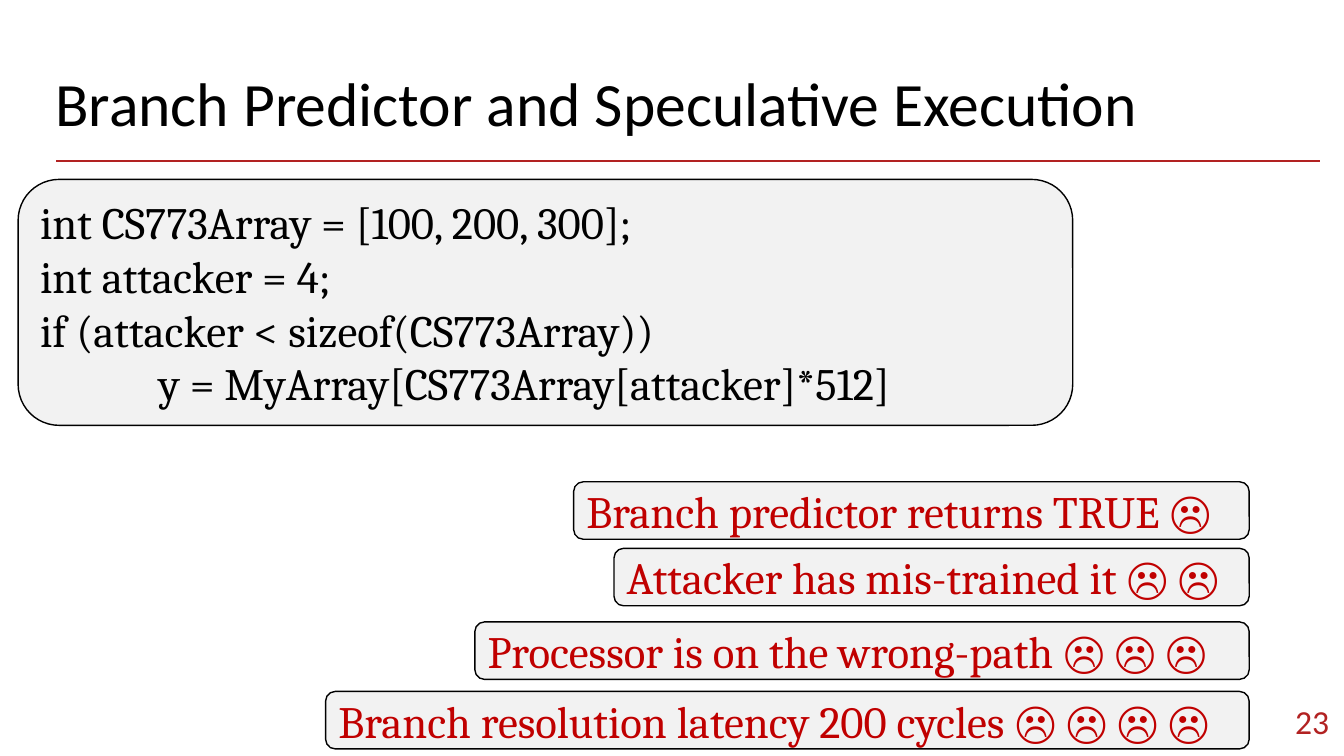
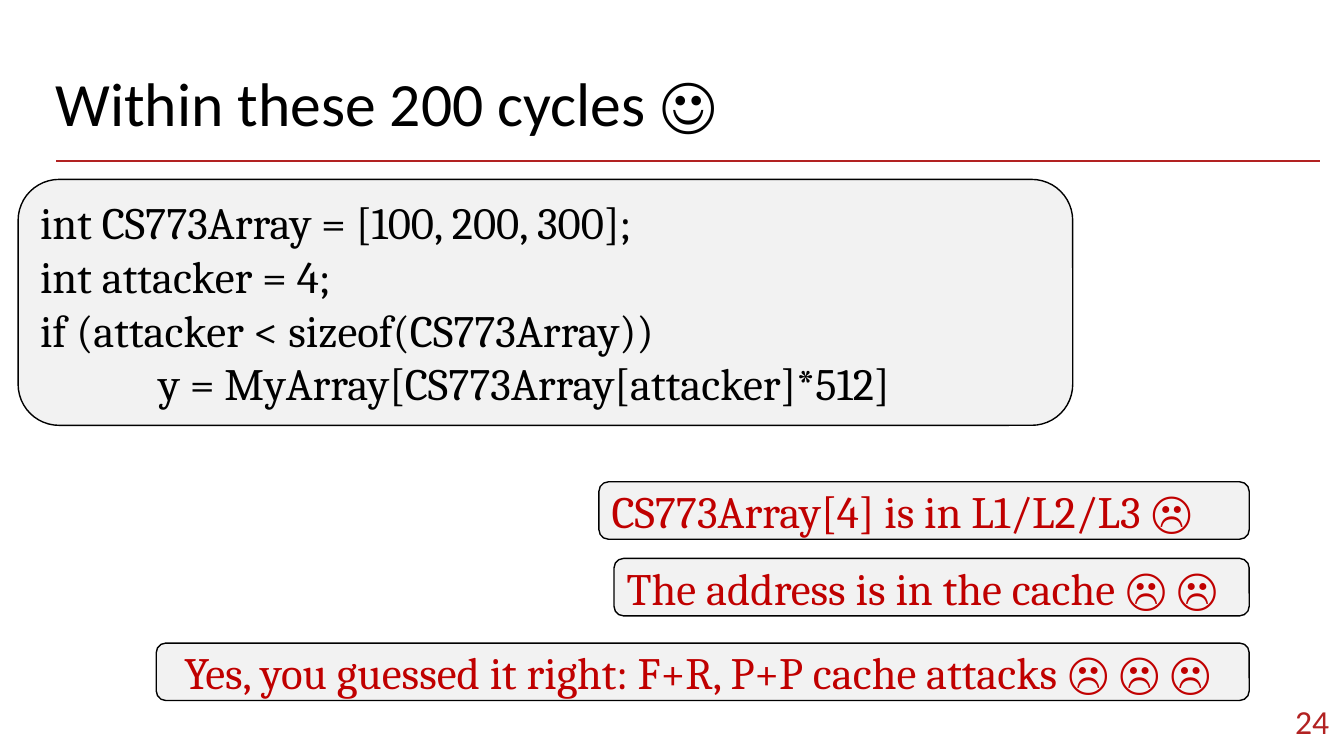
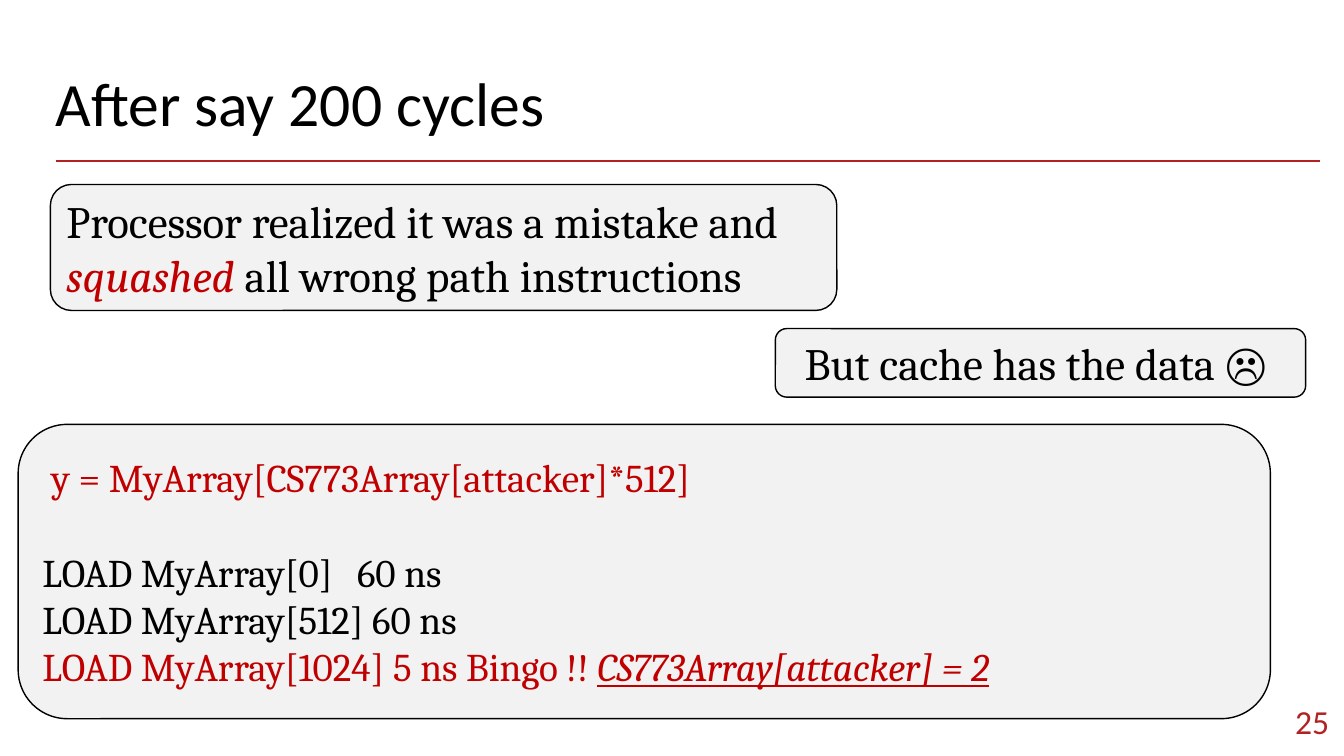
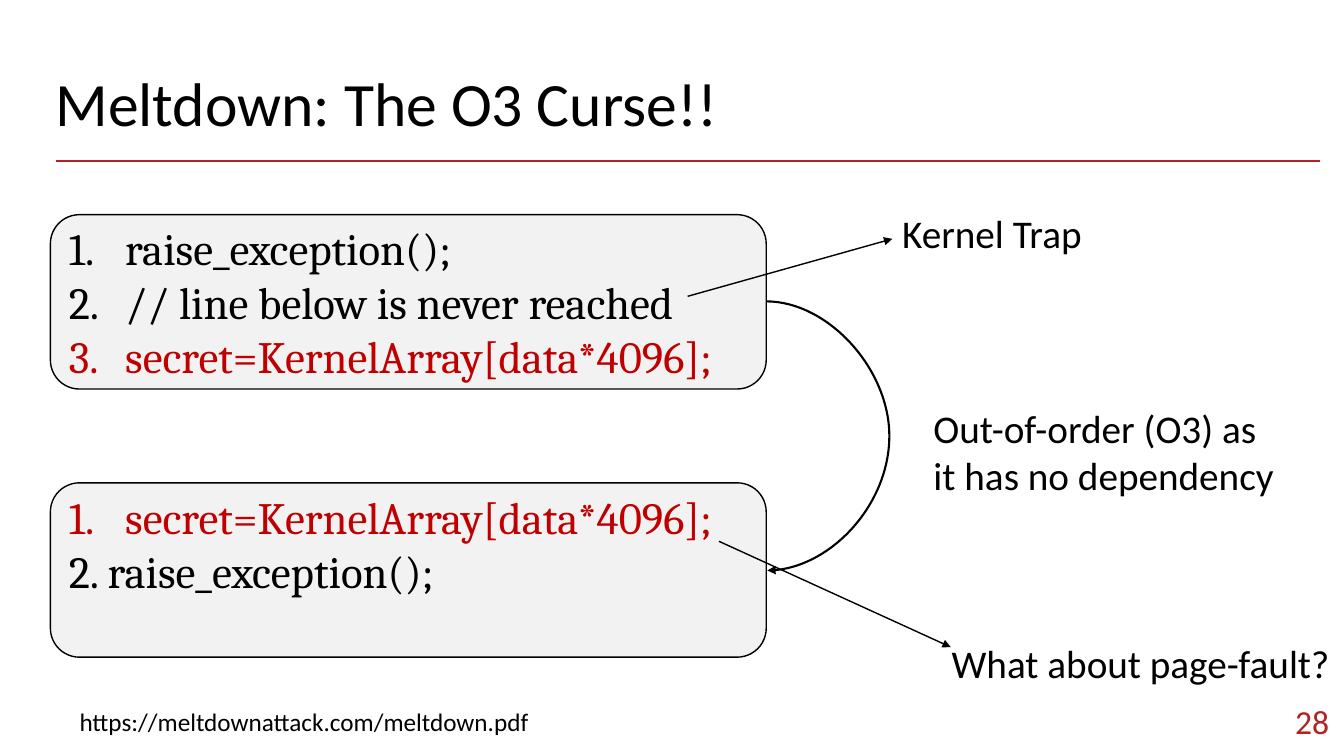
from dataclasses import dataclass, field
from typing import NamedTuple

from lxml import etree
from pptx import Presentation, util as u
from pptx.dml.color import RGBColor
from pptx.enum import shapes, text
from pptx.oxml import ns

PX = 9144  # EMU in one px, 100 px to the inch
INK = RGBColor(0x00, 0x00, 0x00)
RED = RGBColor(0xC0, 0x00, 0x00)
BRICK = RGBColor(0xB2, 0x22, 0x22)
PALE = RGBColor(0xF2, 0xF2, 0xF2)
SANS, SERIF = "Calibri", "Cambria"
LEFT, MID, RIGHT = text.PP_ALIGN.LEFT, text.PP_ALIGN.CENTER, text.PP_ALIGN.RIGHT
STRAIGHT, CURVE = shapes.MSO_CONNECTOR.STRAIGHT, shapes.MSO_CONNECTOR.CURVE
NOTE_END = 1239  # shared right edge of the notes
HANG = 56


class Area(NamedTuple):
    left: int
    top: int
    width: int
    height: int


class Run(NamedTuple):
    text: str
    color: RGBColor = INK
    slant: bool = False
    under: bool = False


@dataclass
class Para:
    runs: list[Run]
    align: text.PP_ALIGN = LEFT
    gap: int = 0
    tab: int = 0
    number: bool = False


@dataclass
class Box:
    area: Area
    paras: list[Para]
    size: int = 32
    foot: int = 5


@dataclass
class Label:
    area: Area
    lines: list[str]
    size: int = 28
    wrap: bool = False


class Note(NamedTuple):
    left: int
    top: int
    text: str
    align: text.PP_ALIGN = LEFT


@dataclass
class Arrow:
    start: tuple[int, int]
    end: tuple[int, int]
    width: float = 1
    bulge: int = 0


@dataclass
class Page:
    title: str
    number: int
    boxes: list[Box] = field(default_factory=list)
    notes: list[Note] = field(default_factory=list)
    labels: list[Label] = field(default_factory=list)
    arrows: list[Arrow] = field(default_factory=list)


def line(words: str, color: RGBColor = INK, **style) -> Para:
    return Para([Run(words, color)], **style)


def emu(*px: int) -> list[int]:
    return [n * PX for n in px]


def sub(node, tag: str, **attrs: str):
    return etree.SubElement(node, ns.qn(tag), **attrs)


def pad(frame, px: int) -> None:
    frame.margin_left = frame.margin_right = px * PX
    frame.margin_top = frame.margin_bottom = px * PX


def write(frame, paras: list[Para], size: int, font: str) -> None:
    for i, para in enumerate(paras):
        p = frame.add_paragraph() if i else frame.paragraphs[0]
        p.alignment = para.align
        if para.gap:
            p.space_before = u.Pt(para.gap)
        props = p._p.get_or_add_pPr()
        if para.number:
            props.set("marL", str(HANG * PX))
            props.set("indent", str(-HANG * PX))
            sub(props, "a:buFont", typeface="+mj-lt")
            sub(props, "a:buAutoNum", type="arabicPeriod")
        if para.tab:
            stops = sub(props, "a:tabLst")
            sub(stops, "a:tab", pos=str(para.tab * PX), algn="l")
        for run in para.runs:
            r = p.add_run()
            r.text = run.text
            r.font.name, r.font.size = font, u.Pt(size)
            r.font.color.rgb = run.color
            if run.slant:
                r.font.italic = True
            if run.under:
                r.font.underline = True


def draw_box(slide, box: Box) -> None:
    shape = slide.shapes.add_shape(
        shapes.MSO_SHAPE.ROUNDED_RECTANGLE, *emu(*box.area))
    shape.shadow.inherit = False
    shape.fill.solid()
    shape.fill.fore_color.rgb = PALE
    shape.line.color.rgb = INK
    shape.line.width = u.Pt(1)
    frame = shape.text_frame
    frame.word_wrap = True
    frame.vertical_anchor = text.MSO_ANCHOR.MIDDLE
    frame.margin_bottom = box.foot * PX
    write(frame, box.paras, box.size, SERIF)


def draw_note(slide, note: Note) -> None:
    area = Area(note.left, note.top, NOTE_END - note.left, 57)
    draw_box(slide, Box(area, [line(note.text, RED, align=note.align)]))


def draw_label(slide, label: Label) -> None:
    frame = slide.shapes.add_textbox(*emu(*label.area)).text_frame
    frame.word_wrap = label.wrap
    frame.auto_size = text.MSO_AUTO_SIZE.SHAPE_TO_FIT_TEXT
    write(frame, [line(words) for words in label.lines], label.size, SANS)


def draw_line(slide, kind, start, end, color: RGBColor, width: float):
    link = slide.shapes.add_connector(kind, *emu(*start, *end))
    link.line.color.rgb = color
    link.line.width = u.Pt(width)
    sub(link.element.spPr, "a:effectLst")
    return link


def draw_arrow(slide, arrow: Arrow) -> None:
    kind = CURVE if arrow.bulge else STRAIGHT
    link = draw_line(slide, kind, arrow.start, arrow.end, INK, arrow.width)
    sub(link.line._get_or_add_ln(), "a:tailEnd", type="triangle")
    if arrow.bulge:
        share = arrow.bulge * 100000 // (arrow.end[0] - arrow.start[0])
        geom = link.element.spPr.find(ns.qn("a:prstGeom"))
        guides = geom.find(ns.qn("a:avLst"))
        if guides is None:
            guides = sub(geom, "a:avLst")
        sub(guides, "a:gd", name="adj1", fmla=f"val {share}")


def set_layout(deck):
    """Place the title and the rule that all slides share."""
    layout = deck.slide_layouts[5]
    title = layout.placeholders[0]
    title.left, title.top, title.width, title.height = emu(45, 64, 1242, 84)
    return layout


def add_rule(slide, layout) -> None:
    rule = draw_line(slide, STRAIGHT, (56, 160), (1309, 160), BRICK, 1.5)
    layout.element.cSld.spTree.append(rule.element)


def draw_page(slide, page: Page) -> None:
    frame = slide.shapes.title.text_frame
    frame.auto_size = text.MSO_AUTO_SIZE.NONE
    pad(frame, 10)
    write(frame, [line(page.title)], 44, SANS)
    frame.paragraphs[0].line_spacing = 0.9

    frame = slide.shapes.add_textbox(*emu(1227, 687, 101, 57)).text_frame
    frame.word_wrap = True
    frame.vertical_anchor = text.MSO_ANCHOR.MIDDLE
    pad(frame, 10)
    write(frame, [line(str(page.number), BRICK, align=RIGHT)], 24, SANS)

    for note in page.notes:
        draw_note(slide, note)
    for box in page.boxes:
        draw_box(slide, box)
    for arrow in page.arrows:
        draw_arrow(slide, arrow)
    for label in page.labels:
        draw_label(slide, label)


ACCESS = " y = MyArray[CS773Array[attacker]*512]"
CODE = Box(Area(18, 178, 1046, 244), [
    line("int CS773Array = [100, 200, 300];"),
    line("int attacker = 4;"),
    line("if (attacker < sizeof(CS773Array))"),
    line("            y = MyArray[CS773Array[attacker]*512]"),
])
RAISE = "raise_exception();"
SECRET = line("secret=KernelArray[data*4096];", RED, number=True)

PAGES = [
    Page("Branch Predictor and Speculative Execution", 23, [CODE], [
        Note(569, 478, "Branch predictor returns TRUE ☹"),
        Note(609, 544, "Attacker has mis-trained it ☹ ☹"),
        Note(471, 617, "Processor is on the wrong-path ☹ ☹ ☹"),
        Note(323, 686, "Branch resolution latency 200 cycles ☹ ☹ ☹ ☹"),
    ]),
    Page("Within these 200 cycles ☺", 24, [CODE], [
        Note(594, 478, "CS773Array[4] is in L1/L2/L3 ☹"),
        Note(609, 554, "The address is in the cache ☹ ☹"),
        Note(155, 638, "Yes, you guessed it right: F+R, P+P cache attacks ☹ ☹ ☹ ",
             MID),
    ]),
    Page("After say 200 cycles", 25, [
        Box(Area(18, 421, 1242, 292), [
            line(ACCESS, RED),
            line("LOAD MyArray[0]\t60 ns", gap=34, tab=312),
            line("LOAD MyArray[512] 60 ns"),
            Para([Run("LOAD MyArray[1024] 5 ns Bingo !! ", RED),
                  Run("CS773Array[attacker] = 2", RED, True, True)]),
        ], size=28),
        Box(Area(50, 183, 780, 125), [
            line("Processor realized it was a mistake and"),
            Para([Run("squashed", RED, True),
                  Run(" all wrong path instructions")]),
        ]),
        Box(Area(769, 326, 526, 68),
            [line("But cache has the data ☹ ", align=MID)]),
    ]),
    Page("Meltdown: The O3 Curse!!", 28, [
        Box(Area(50, 213, 710, 173), [
            line(RAISE, number=True),
            line("// line below is never reached", number=True),
            SECRET,
        ]),
        Box(Area(50, 479, 710, 173), [SECRET, line("2. " + RAISE)], foot=58),
    ], labels=[
        Label(Area(916, 396, 362, 104),
              ["Out-of-order (O3) as", "it has no dependency"]),
        Label(Area(885, 203, 200, 57), ["Kernel Trap"]),
        Label(Area(934, 629, 399, 57), ["What about page-fault?"]),
        Label(Area(69, 696, 672, 40),
              ["https://meltdownattack.com/meltdown.pdf"], 18, True),
    ], arrows=[
        Arrow((760, 299), (761, 566), 1.5, bulge=124),
        Arrow((682, 294), (885, 237)),
        Arrow((713, 537), (943, 642)),
    ]),
]


def main() -> None:
    deck = Presentation()
    deck.slide_width, deck.slide_height = emu(1333, 750)
    layout = set_layout(deck)
    for i, page in enumerate(PAGES):
        slide = deck.slides.add_slide(layout)
        if not i:
            add_rule(slide, layout)
        draw_page(slide, page)
    deck.save("out.pptx")


if __name__ == "__main__":
    main()
